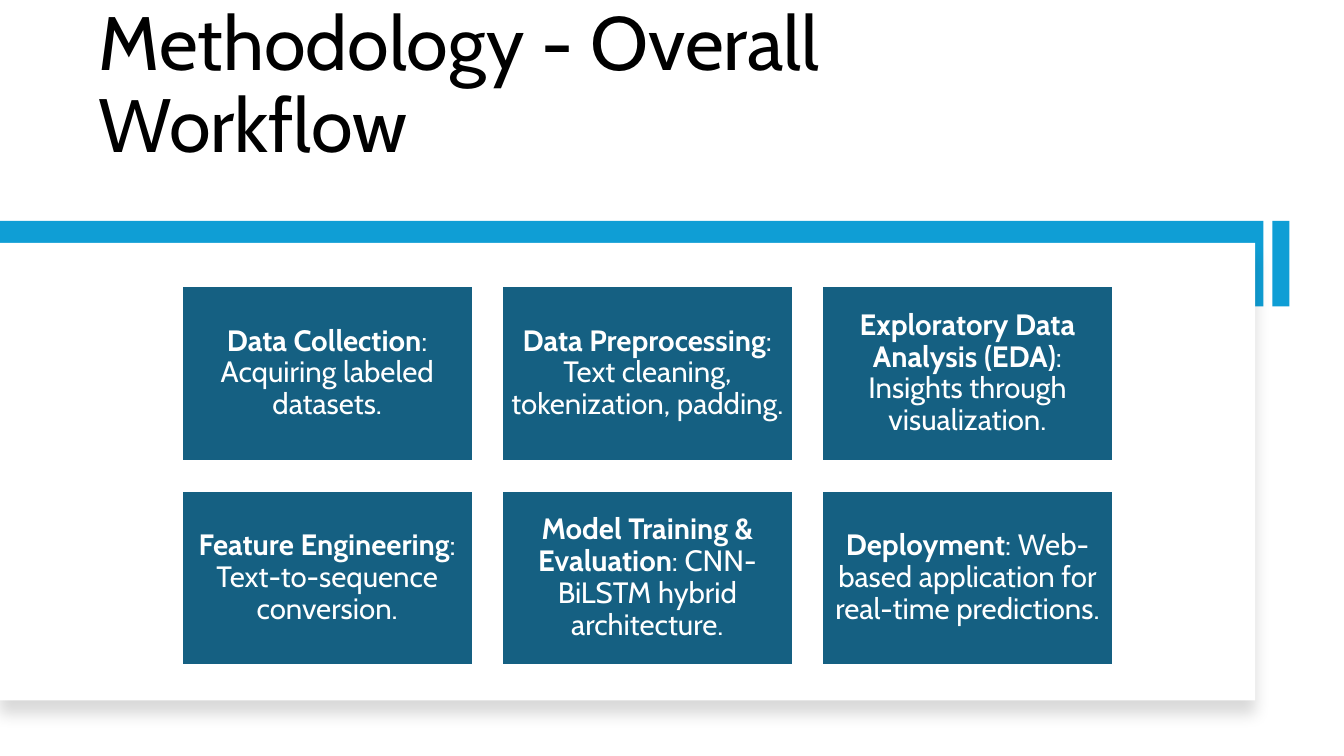
from lxml.etree import SubElement
from pptx import Presentation
from pptx.dml.color import RGBColor
from pptx.enum.shapes import MSO_SHAPE
from pptx.enum.text import MSO_ANCHOR, PP_ALIGN
from pptx.oxml.ns import qn
from pptx.util import Inches, Pt

TITLE = "Methodology - Overall Workflow"
STEPS = [
    ("Data Collection", ": Acquiring labeled datasets."),
    ("Data Preprocessing", ": Text cleaning, tokenization, padding."),
    ("Exploratory Data Analysis (EDA)", ": Insights through visualization."),
    ("Feature Engineering", ": Text-to-sequence conversion."),
    ("Model Training & Evaluation", ": CNN-BiLSTM hybrid architecture."),
    ("Deployment", ": Web-based application for real-time predictions."),
]
FONT = "Cabin"
BLACK, WHITE, BRIGHT_BLUE, DARK_BLUE = "000000", "FFFFFF", "0F9ED5", "156082"
ACCENT_BARS = [(12.62, 2.19, 0.17, 0.85), (0, 2.19, 12.53, 0.85)]
PANEL = (0, 2.41, 12.45, 4.54)
COLUMNS = 3
GRID_LEFT, GRID_TOP = 1.8, 2.84
CARD_WIDTH, CARD_HEIGHT = 2.89, 1.73
COLUMN_STEP, ROW_STEP = 3.175, 2.03


def color(hex_string):
    return RGBColor.from_string(hex_string)


def add_rectangle(slide, box, fill, line=None):
    shape = slide.shapes.add_shape(MSO_SHAPE.RECTANGLE, *map(Inches, box))
    shape.shadow.inherit = False
    shape.fill.solid()
    shape.fill.fore_color.rgb = color(fill)
    if line:
        shape.line.color.rgb = color(line)
        shape.line.width = Pt(1.5)
    else:
        shape.line.fill.background()
    return shape


def add_soft_shadow(shape):
    """Cast a faint shadow straight down."""
    effects = shape._element.spPr.find(qn("a:effectLst"))
    shadow = SubElement(effects, qn("a:outerShdw"), blurRad=str(Pt(11)),
                        dist=str(Pt(10)), dir="5400000", algn="t", rotWithShape="0")
    shade = SubElement(shadow, qn("a:srgbClr"), val=BLACK)
    SubElement(shade, qn("a:alpha"), val="15000")


def style_paragraph(paragraph, size, text_color, alignment):
    paragraph.alignment = alignment
    paragraph.line_spacing = 0.9
    paragraph.font.name = FONT
    paragraph.font.size = Pt(size)
    paragraph.font.color.rgb = color(text_color)


def add_title(slide):
    frame = slide.shapes.add_textbox(*map(Inches, (0.88, 0.42, 10.1, 1.3))).text_frame
    frame.word_wrap = True
    frame.vertical_anchor = MSO_ANCHOR.BOTTOM
    paragraph = frame.paragraphs[0]
    paragraph.text = TITLE
    style_paragraph(paragraph, 54, BLACK, PP_ALIGN.LEFT)


def add_step_card(slide, index, name, detail):
    row, column = divmod(index, COLUMNS)
    box = (GRID_LEFT + column * COLUMN_STEP, GRID_TOP + row * ROW_STEP,
           CARD_WIDTH, CARD_HEIGHT)
    frame = add_rectangle(slide, box, DARK_BLUE, WHITE).text_frame
    frame.word_wrap = True
    frame.vertical_anchor = MSO_ANCHOR.MIDDLE
    frame.margin_left = frame.margin_right = Inches(0.09)
    frame.margin_top = frame.margin_bottom = Inches(0.09)
    paragraph = frame.paragraphs[0]
    for text, bold in ((name, True), (detail, False)):
        run = paragraph.add_run()
        run.text = text
        run.font.bold = bold
    style_paragraph(paragraph, 21, WHITE, PP_ALIGN.CENTER)


def main():
    presentation = Presentation()
    presentation.slide_width = Inches(13.33)
    presentation.slide_height = Inches(7.5)
    slide = presentation.slides.add_slide(presentation.slide_layouts[6])
    add_title(slide)
    for bar in ACCENT_BARS:
        add_rectangle(slide, bar, BRIGHT_BLUE)
    add_soft_shadow(add_rectangle(slide, PANEL, WHITE))
    for index, (name, detail) in enumerate(STEPS):
        add_step_card(slide, index, name, detail)
    presentation.save("out.pptx")


if __name__ == "__main__":
    main()
